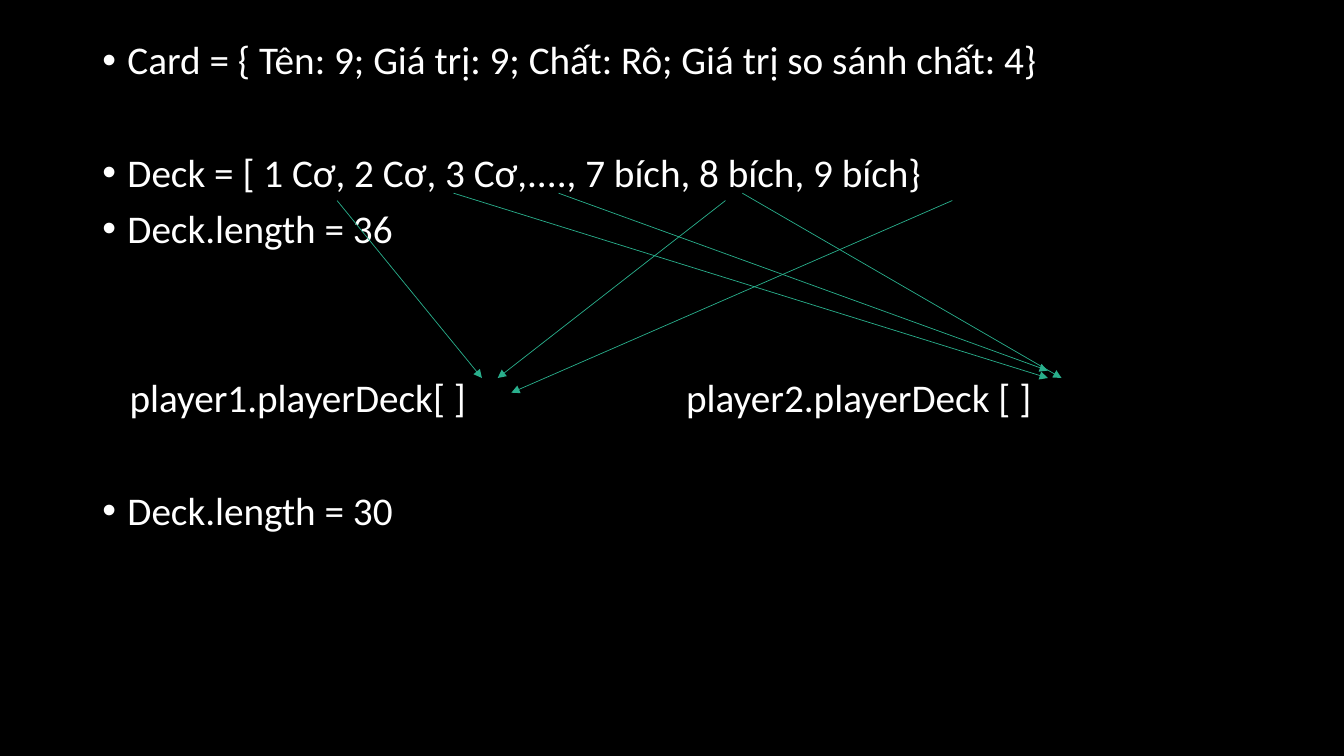
from dataclasses import dataclass

from lxml.etree import SubElement
from pptx import Presentation
from pptx.dml.color import RGBColor
from pptx.enum.shapes import MSO_CONNECTOR
from pptx.oxml.ns import qn
from pptx.util import Pt

PX = 9525


@dataclass(frozen=True)
class Theme:
    background: RGBColor = RGBColor(0x00, 0x00, 0x00)
    text: RGBColor = RGBColor(0xFF, 0xFF, 0xFF)
    arrow: RGBColor = RGBColor(0x29, 0xAF, 0x8C)
    font: str = "Calibri"
    size: float = 28
    line_spacing: float = 0.9
    gap: float = 10
    row: float = 40.2
    arrow_width: float = 0.5


THEME = Theme()

BODY_BOX = (88, 34, 1104, 614)
PLAYER2_BOX = (644, 356, 400, 50)
DEAL_BOX = (321, 184, 690, 190)
BULLET_INDENT = 24
PLAYER_INDENT = 26

STATEMENTS = [
    ("Card = { Tên: 9; Giá trị: 9; Chất: Rô; Giá trị so sánh chất: 4}", 0, True),
    ("Deck = [ 1 Cơ, 2 Cơ, 3 Cơ,...., 7 bích, 8 bích, 9 bích}", 1, True),
    ("Deck.length = 36", 0, True),
    ("player1.playerDeck[ ]", 2, False),
    ("Deck.length = 30", 1, True),
]
PLAYER2 = [("player2.playerDeck [ ]", 0, None)]

DEALS = [
    ((0, 7), (138, 176)),
    ((370, 7), (153, 176)),
    ((586, 7), (166, 190)),
    ((111, 0), (677, 176)),
    ((211, 0), (677, 169)),
    ((386, 0), (690, 176)),
]


def format_indent(paragraph, bulleted):
    properties = paragraph._p.get_or_add_pPr()
    if bulleted:
        properties.set("marL", str(BULLET_INDENT * PX))
        properties.set("indent", str(-BULLET_INDENT * PX))
        SubElement(properties, qn("a:buFont"), typeface="Arial")
        SubElement(properties, qn("a:buChar"), char="•")
    else:
        properties.set("marL", "0")
        properties.set("indent", str(PLAYER_INDENT * PX))
        SubElement(properties, qn("a:buNone"))


def add_statements(slide, box, statements):
    body = slide.shapes.add_textbox(*(side * PX for side in box)).text_frame
    body.word_wrap = True
    for index, (statement, skipped_rows, bulleted) in enumerate(statements):
        paragraph = body.add_paragraph() if index else body.paragraphs[0]
        paragraph.text = statement
        if bulleted is not None:
            format_indent(paragraph, bulleted)
        paragraph.line_spacing = THEME.line_spacing
        if index:
            paragraph.space_before = Pt(THEME.gap + skipped_rows * THEME.row)
        paragraph.font.name = THEME.font
        paragraph.font.size = Pt(THEME.size)
        paragraph.font.color.rgb = THEME.text


def add_deals(slide, box):
    left, top = box[:2]
    for card, hand in DEALS:
        ends = [
            length * PX
            for x, y in (card, hand)
            for length in (left + x, top + y)
        ]
        arrow = slide.shapes.add_connector(MSO_CONNECTOR.STRAIGHT, *ends)
        arrow.line.color.rgb = THEME.arrow
        arrow.line.width = Pt(THEME.arrow_width)
        SubElement(arrow.line._get_or_add_ln(), qn("a:tailEnd"), type="triangle")
        SubElement(arrow._element.spPr, qn("a:effectLst"))


def add_dealing_slide(presentation):
    slide = presentation.slides.add_slide(presentation.slide_layouts[6])
    slide.background.fill.solid()
    slide.background.fill.fore_color.rgb = THEME.background
    add_statements(slide, BODY_BOX, STATEMENTS)
    add_statements(slide, PLAYER2_BOX, PLAYER2)
    add_deals(slide, DEAL_BOX)


def main():
    presentation = Presentation()
    presentation.slide_width = 1280 * PX
    presentation.slide_height = 720 * PX
    add_dealing_slide(presentation)
    presentation.save("out.pptx")


if __name__ == "__main__":
    main()
